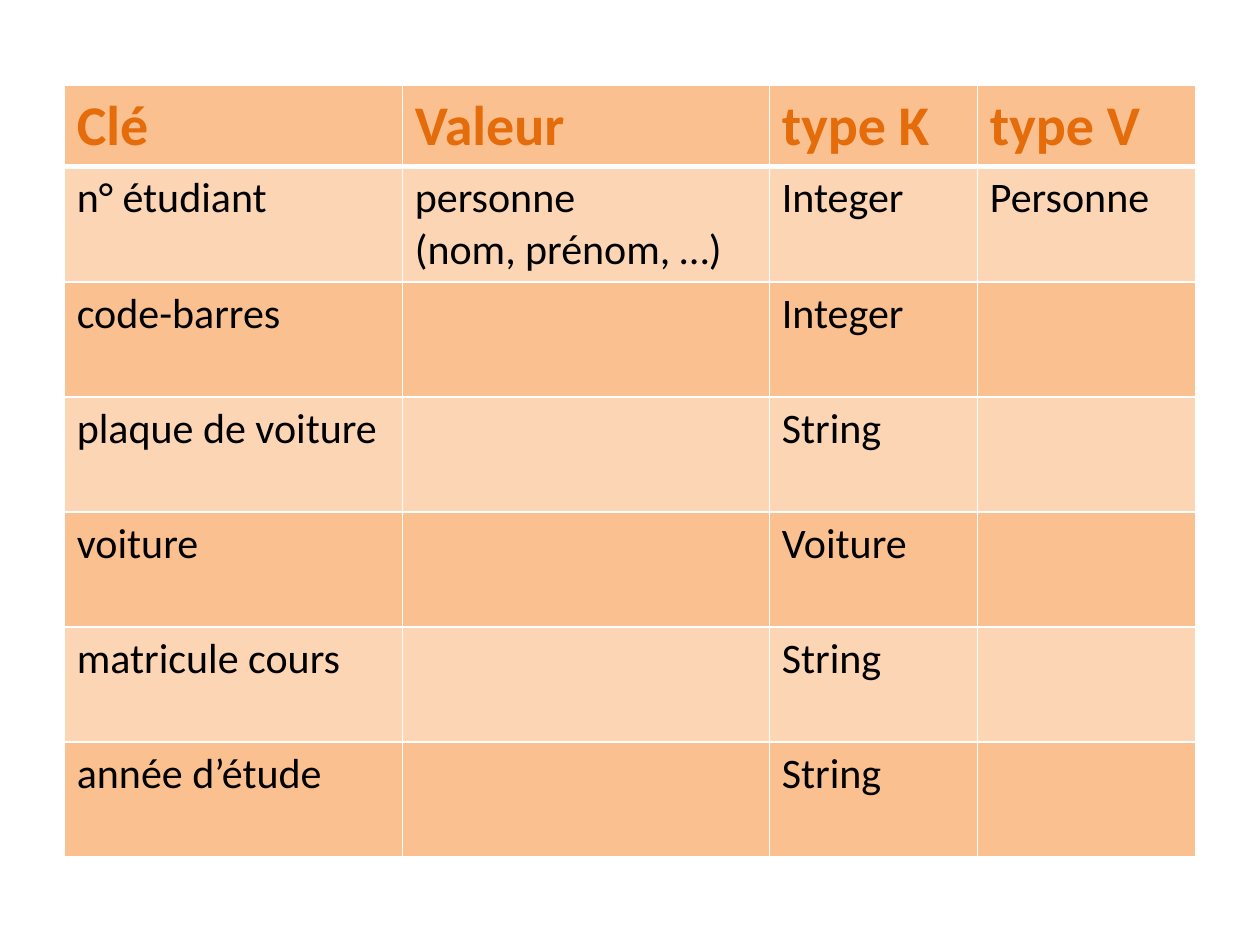
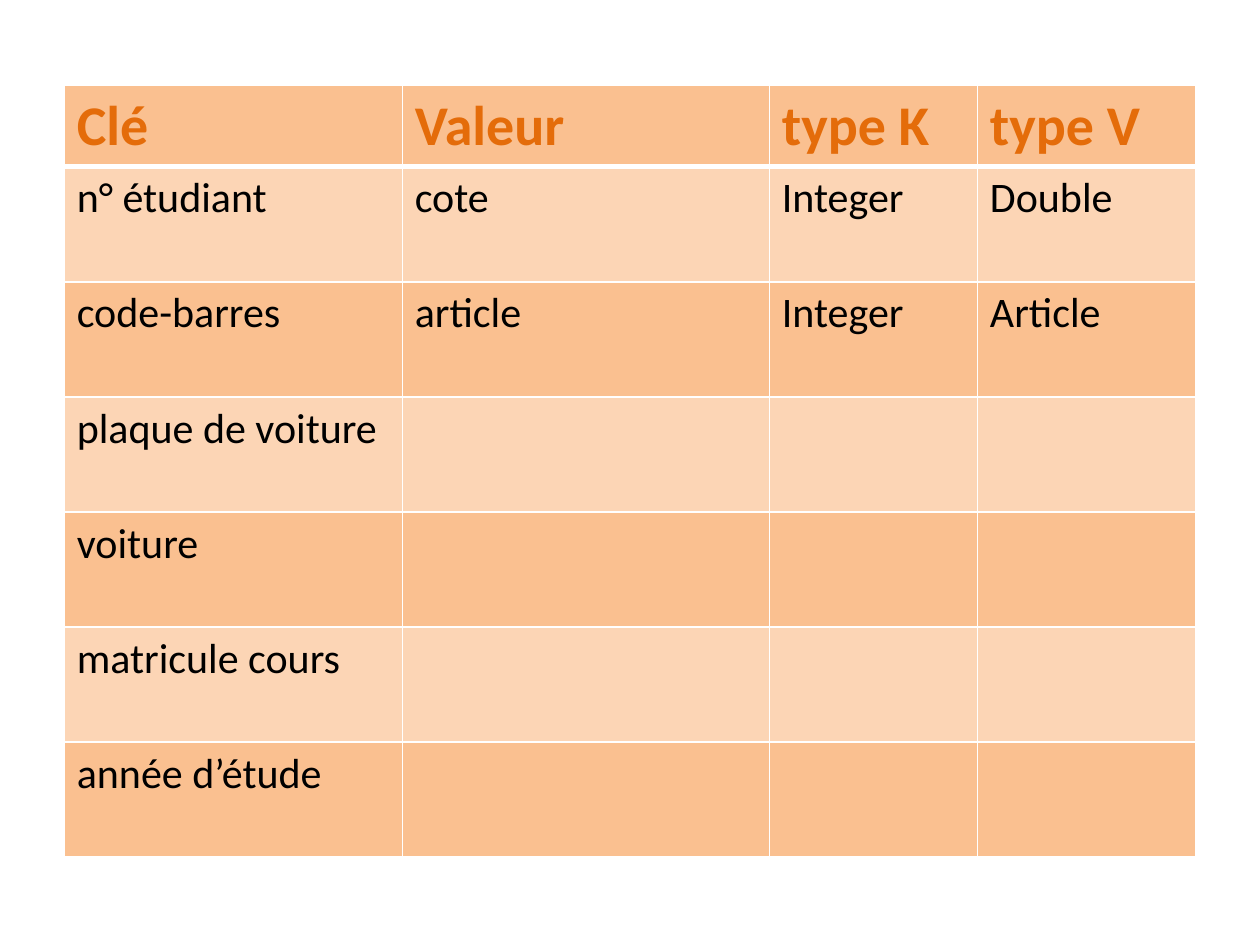
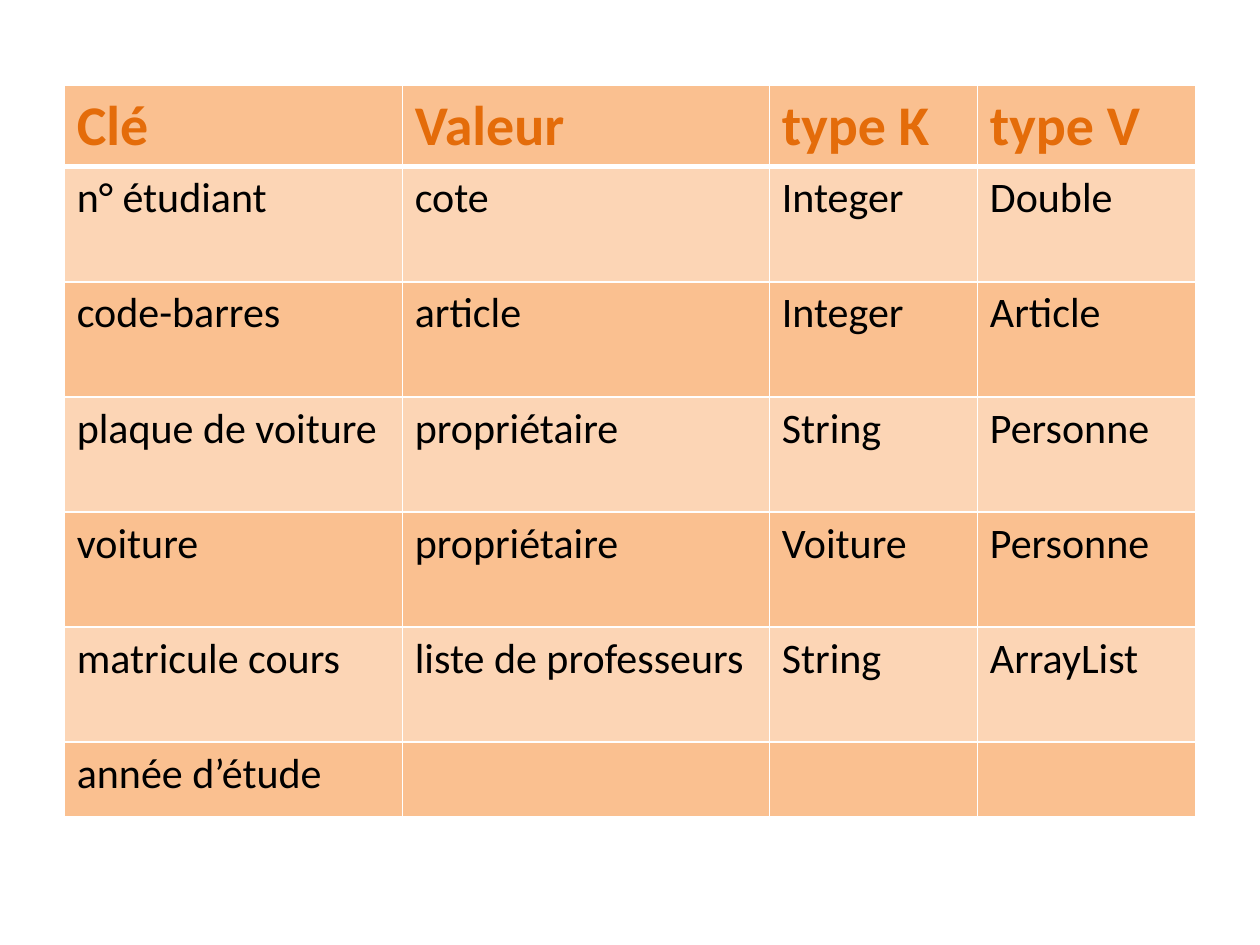
from lxml.etree import SubElement
from pptx import Presentation
from pptx.dml.color import RGBColor
from pptx.oxml.ns import qn
from pptx.util import Inches, Pt

COLORS = {
    "heading": "E46C0A",
    "body": "000000",
    "dark_band": "FAC090",
    "light_band": "FCD5B5",
    "grid": "FFFFFF",
}
HEADING_FORMAT = {"name": "Calibri", "size": Pt(32), "bold": True}
BODY_FORMAT = {"name": "Calibri", "size": Pt(24), "bold": False}

PAGE_WIDTH, PAGE_HEIGHT = 10, 7.5
TABLE_BOX = (0.51, 0.68, 8.98, 6.12)
COLUMN_WEIGHTS = (2.68, 2.91, 1.65, 1.73)
HEADER_HEIGHT = 0.64
SHORT_ROW_HEIGHT = 0.59
THIN_LINE, THICK_LINE = 1, 3

HEADINGS = ("Clé", "Valeur", "type K", "type V")
KEYS = ("n° étudiant", "code-barres", "plaque de voiture", "voiture",
        "matricule cours", "année d’étude")
BLANK = ("", "", "")
GRADE = ("cote", "Integer", "Double")
ARTICLE = ("article", "Integer", "Article")

# Each page gives the value, type K and type V that go with each key.
QUESTION = (
    ("personne\n(nom, prénom, …)", "Integer", "Personne"),
    ("", "Integer", ""),
    ("", "String", ""),
    ("", "Voiture", ""),
    ("", "String", ""),
    ("", "String", ""),
)
FIRST_ANSWERS = (GRADE, ARTICLE, BLANK, BLANK, BLANK, BLANK)
MORE_ANSWERS = (
    GRADE,
    ARTICLE,
    ("propriétaire", "String", "Personne"),
    ("propriétaire", "Voiture", "Personne"),
    ("liste de professeurs", "String", "ArrayList"),
    BLANK,
)


def draw_borders(cell, top, bottom):
    """Rule the four sides of a cell; top and bottom are widths in points."""
    properties = cell._tc.get_or_add_tcPr()
    widths = {"lnL": THIN_LINE, "lnR": THIN_LINE, "lnT": top, "lnB": bottom}
    for side, width in widths.items():
        line = SubElement(properties, qn(f"a:{side}"), w=str(Pt(width)))
        fill = SubElement(line, qn("a:solidFill"))
        SubElement(fill, qn("a:srgbClr"), val=COLORS["grid"])


def fill_cell(cell, text, row_number):
    is_heading = row_number == 0
    draw_borders(cell,
                 top=THICK_LINE if row_number == 1 else THIN_LINE,
                 bottom=THICK_LINE if is_heading else THIN_LINE)
    band = "light_band" if row_number % 2 else "dark_band"
    cell.fill.solid()
    cell.fill.fore_color.rgb = RGBColor.from_string(COLORS[band])
    cell.text = text
    text_color = COLORS["heading" if is_heading else "body"]
    for para in cell.text_frame.paragraphs:
        for span in para.runs:
            for name, value in (HEADING_FORMAT if is_heading else BODY_FORMAT).items():
                setattr(span.font, name, value)
            span.font.color.rgb = RGBColor.from_string(text_color)


def add_map_table(page, box, answers, short_last_row):
    """Place the key and value table in a box of left, top, width, height."""
    rows = [HEADINGS] + [(key, *answer) for key, answer in zip(KEYS, answers)]
    frame = page.shapes.add_table(len(rows), len(HEADINGS), *map(Inches, box))
    table = frame.table
    table.horz_banding = False

    _, _, width, height = box
    for column, weight in zip(table.columns, COLUMN_WEIGHTS):
        column.width = Inches(width * weight / sum(COLUMN_WEIGHTS))
    body_height = (height - HEADER_HEIGHT) / len(KEYS)
    heights = [HEADER_HEIGHT] + [body_height] * len(KEYS)
    if short_last_row:
        heights[-1] = SHORT_ROW_HEIGHT

    for row_number, (texts, row_height) in enumerate(zip(rows, heights)):
        table.rows[row_number].height = Inches(row_height)
        for column_number, text in enumerate(texts):
            fill_cell(table.cell(row_number, column_number), text, row_number)


def main():
    deck = Presentation()
    deck.slide_width, deck.slide_height = Inches(PAGE_WIDTH), Inches(PAGE_HEIGHT)
    blank_layout = deck.slide_layouts[6]
    for answers, short_last_row in ((QUESTION, False), (FIRST_ANSWERS, False),
                                    (MORE_ANSWERS, True)):
        page = deck.slides.add_slide(blank_layout)
        add_map_table(page, TABLE_BOX, answers, short_last_row)
    deck.save("out.pptx")


if __name__ == "__main__":
    main()
